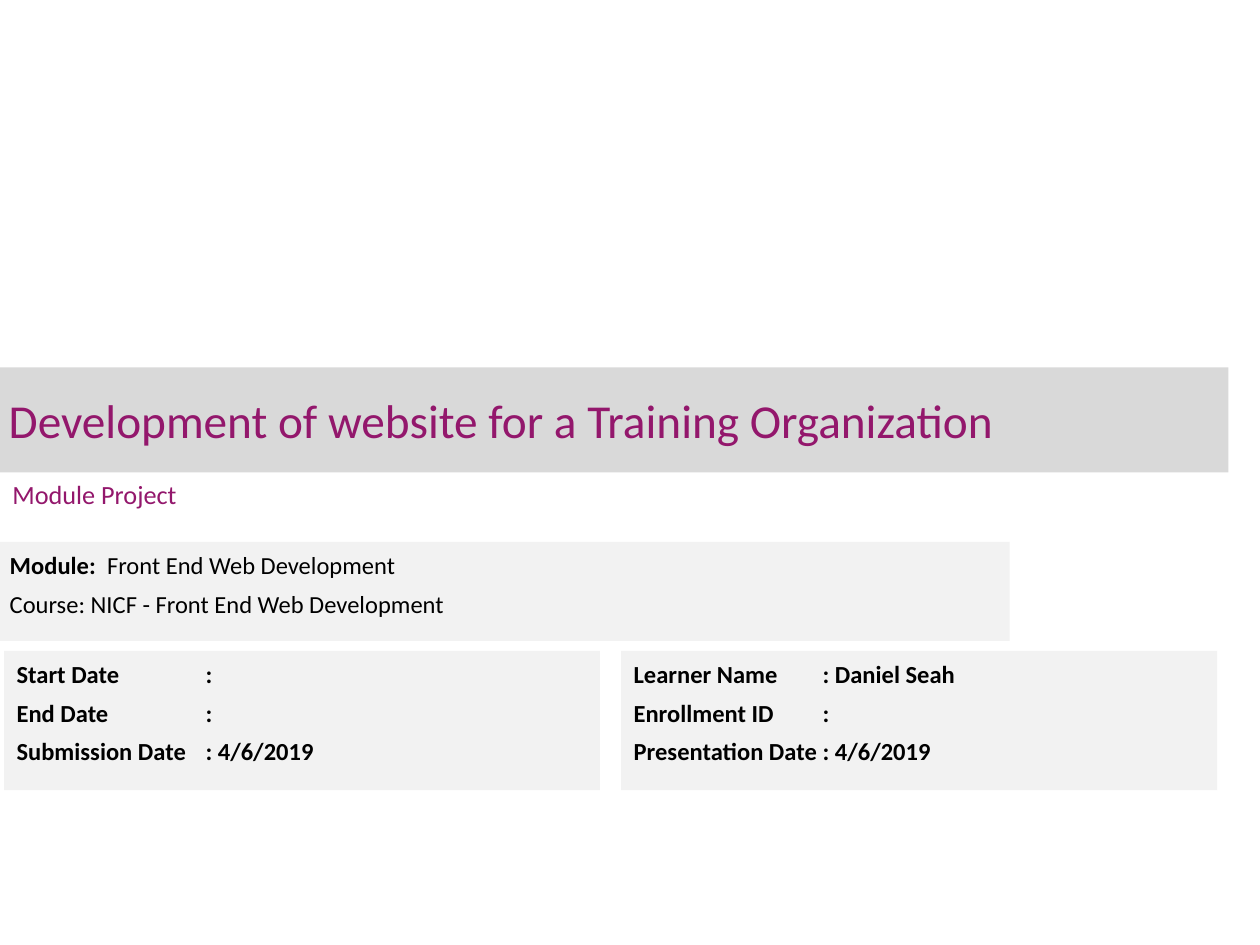
from dataclasses import dataclass

from lxml import etree
from pptx import Presentation
from pptx.dml.color import RGBColor
from pptx.enum import shapes, text
from pptx.oxml import ns
from pptx.util import Pt


@dataclass(frozen=True)
class Theme:
    font: str = "Calibri"
    accent: str = "93176C"
    ink: str = "000000"
    band: str = "D9D9D9"
    panel: str = "F2F2F2"
    title_size: float = 27
    subtitle_size: float = 15
    body_size: float = 14


class Deck:
    def __init__(self, slide, theme):
        self.slide = slide
        self.theme = theme

    def place(self, sp, left, top, width, height):
        sp.left, sp.top = Pt(left), Pt(top)
        sp.width, sp.height = Pt(width), Pt(height)

    def fill(self, sp, color):
        sp.fill.solid()
        sp.fill.fore_color.rgb = RGBColor.from_string(color)

    def frame(self, sp, anchor):
        tf = sp.text_frame
        tf.word_wrap = True
        tf.auto_size = text.MSO_AUTO_SIZE.NONE
        tf.vertical_anchor = anchor
        return tf

    def run(self, p, content, size, color, bold=False):
        r = p.add_run()
        r.text = content
        r.font.name = self.theme.font
        r.font.size = Pt(size)
        r.font.bold = bold
        r.font.color.rgb = RGBColor.from_string(color)

    def tab_stop(self, p, position):
        tabs = etree.SubElement(p._p.get_or_add_pPr(), ns.qn("a:tabLst"))
        etree.SubElement(tabs, ns.qn("a:tab"), pos=str(Pt(position)), algn="l")

    def title(self, content, *box):
        sp = self.slide.shapes.title
        self.place(sp, *box)
        self.fill(sp, self.theme.band)
        tf = self.frame(sp, text.MSO_ANCHOR.MIDDLE)
        tf.margin_left = tf.margin_right = Pt(5)
        tf.margin_top = tf.margin_bottom = Pt(2.7)
        p = tf.paragraphs[0]
        p.alignment = text.PP_ALIGN.LEFT
        self.run(p, content, self.theme.title_size, self.theme.accent)

    def subtitle(self, content, *box):
        sp = self.slide.shapes.add_textbox(*map(Pt, box))
        tf = self.frame(sp, text.MSO_ANCHOR.MIDDLE)
        self.run(tf.paragraphs[0], content, self.theme.subtitle_size, self.theme.accent)

    def panel(self, lines, *box, tab=None):
        sp = self.slide.shapes.add_shape(shapes.MSO_SHAPE.RECTANGLE, *map(Pt, box))
        sp.shadow.inherit = False
        self.fill(sp, self.theme.panel)
        sp.line.fill.background()
        tf = self.frame(sp, text.MSO_ANCHOR.TOP)
        for i, line in enumerate(lines):
            p = tf.add_paragraph() if i else tf.paragraphs[0]
            p.alignment = text.PP_ALIGN.LEFT
            p.line_spacing = Pt(18)
            p.space_before = p.space_after = Pt(2)
            if tab:
                self.tab_stop(p, tab)
            for content, bold in line:
                self.run(p, content, self.theme.body_size, self.theme.ink, bold)


def main():
    prs = Presentation()
    prs.slide_width, prs.slide_height = Pt(720), Pt(540)
    deck = Deck(prs.slides.add_slide(prs.slide_layouts[5]), Theme())

    deck.title("Development of website for a Training Organization", 0, 210, 702, 60)
    deck.subtitle("Module Project", 0, 259.5, 462, 45)

    module = [
        [("Module: ", True), (" Front End Web Development", False)],
        [("Course: NICF - Front End Web Development", False)],
    ]
    deck.panel(module, -1.5, 309.6, 578.5, 56.6)

    details = [
        [("Start Date", ""), ("End Date", ""), ("Submission Date", " 4/6/2019")],
        [("Learner Name", " Daniel Seah"), ("Enrollment ID", ""), ("Presentation Date", " 4/6/2019")],
    ]
    for column, fields in enumerate(details):
        lines = [[(f"{label}\t:{value}", True)] for label, value in fields]
        deck.panel(lines, 2.4 + 352.6 * column, 372, 340.5, 79.5, tab=108)

    prs.save("out.pptx")


if __name__ == "__main__":
    main()
